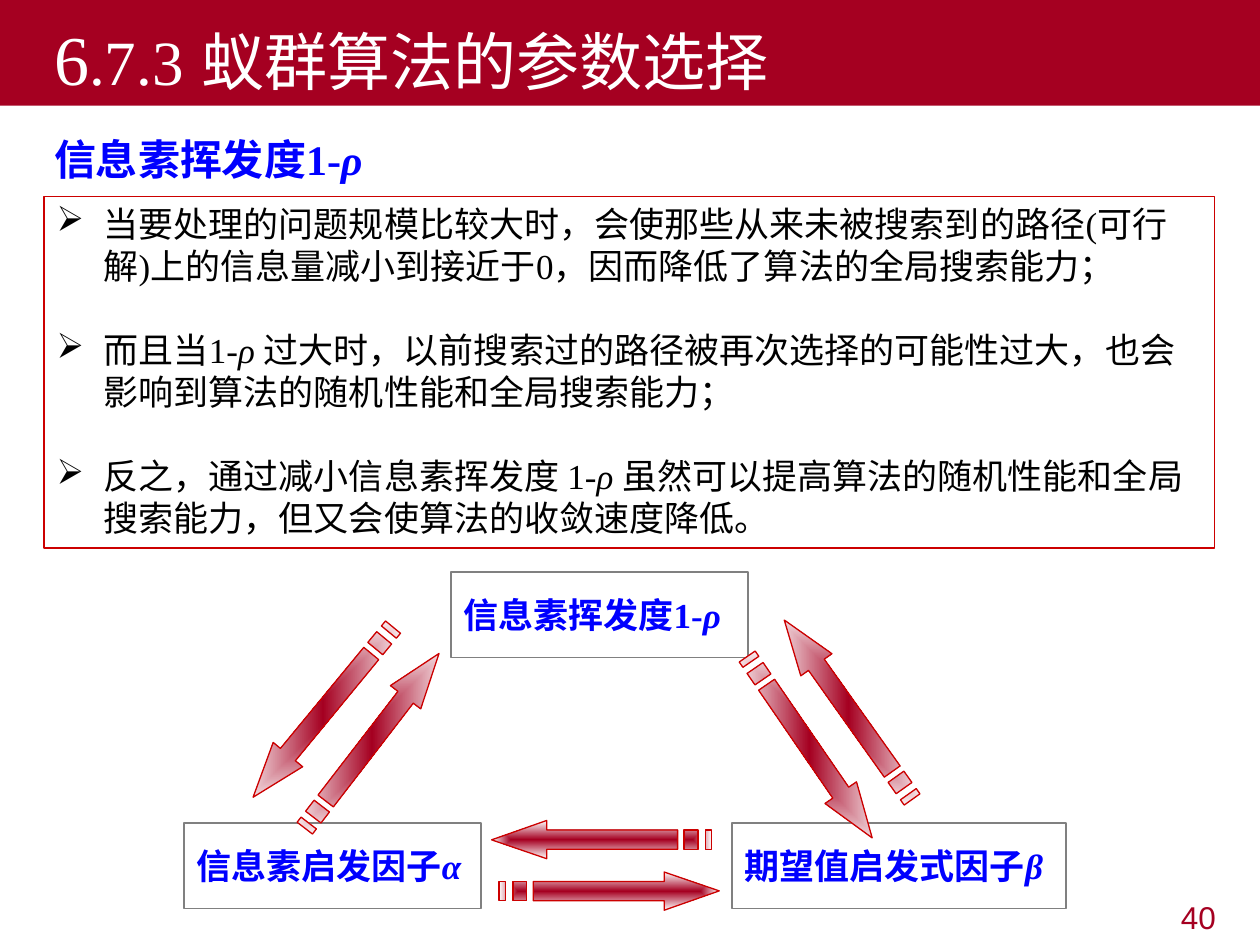
from dataclasses import dataclass
from typing import Any, NamedTuple

from lxml.etree import SubElement
from pptx import Presentation
from pptx.dml.color import RGBColor
from pptx.enum.shapes import MSO_SHAPE as Preset
from pptx.enum.text import MSO_ANCHOR as Anchor, MSO_AUTO_SIZE as AutoSize, PP_ALIGN as Align
from pptx.oxml.ns import qn
from pptx.util import Cm, Pt

CRIMSON = RGBColor(0xA5, 0x00, 0x21)
RED = RGBColor(0xCC, 0x00, 0x00)
BLUE = RGBColor(0x00, 0x00, 0xFF)
GRAY = RGBColor(0x80, 0x80, 0x80)
BLACK = RGBColor(0x00, 0x00, 0x00)
WHITE = RGBColor(0xFF, 0xFF, 0xFF)

SERIF, SANS = "Times New Roman", "Arial"


class Frame(NamedTuple):
    left: float
    top: float
    width: float
    height: float

    def lengths(self) -> list[Cm]:
        return [Cm(value) for value in self]


@dataclass
class Piece:
    text: str
    font: str = SERIF
    italic: bool = False


@dataclass
class Factor:
    label: str
    symbol: str
    frame: Frame


@dataclass
class Arrow:
    left: float
    top: float
    rotation: float


TITLE_FRAME = Frame(0, 0, 25.4, 2.13)
HEADING_FRAME = Frame(0.84, 2.57, 23.7, 1.3)
NOTES_FRAME = Frame(0.89, 3.96, 23.6, 7.09)
NUMBER_FRAME = Frame(19.25, 17.98, 5.51, 0.99)

POINTS = [
    [Piece("当要处理的问题规模比较大时，会使那些从来未被搜索到的路径(可行解)上的信息量"
           "减小到接近于0，因而降低了算法的全局搜索能力；")],
    [Piece("而且当", SANS), Piece("1-"), Piece("ρ ", italic=True),
     Piece("过大时，以前搜索过的路径被再次选择的可能性过大，"
           "也会影响到算法的随机性能和全局搜索能力；", SANS)],
    [Piece("反之，通过减小信息素挥发度 ", SANS), Piece("1-"), Piece("ρ ", italic=True),
     Piece("虽然可以提高算法的随机性能和全局搜索能力，但又会使算法的收敛速度降低。", SANS)],
]
FACTORS = [
    Factor("信息素启发因子", "α", Frame(3.71, 16.59, 5.99, 1.73)),
    Factor("期望值启发式因子", "β", Frame(14.76, 16.59, 6.73, 1.73)),
    Factor("信息素挥发度1-", "ρ", Frame(9.09, 11.53, 5.99, 1.73)),
]
ARROWS = [
    Arrow(10.06, 17.58, 0),
    Arrow(9.91, 16.54, 180),
    Arrow(5.28, 14.55, 307.6),
    Arrow(4.29, 13.97, 129.5),
    Arrow(14.88, 13.92, 234.6),
    Arrow(14.1, 14.68, 55.5),
]

# Arrow outline in hundredths of a centimetre, pointing right
ARROW_LENGTH, ARROW_HEIGHT, HEAD_START = 444, 77, 333
SHAFT_TOP, SHAFT_BOTTOM, SHAFT_START = 19, 58, 69
STRIPES = [(28, 56), (0, 13)]


def add_run(paragraph, text: str, color: RGBColor, **formats: Any) -> None:
    run = paragraph.add_run()
    run.text = text
    for name, value in formats.items():
        setattr(run.font, name, value)
    run.font.color.rgb = color


def add_term(paragraph, label: str, symbol: str, size: int) -> None:
    """Write a bold blue label followed by its italic Greek letter."""
    for text, italic in ((label, False), (symbol, True)):
        add_run(paragraph, text, BLUE, name=SERIF, size=Pt(size), bold=True, italic=italic)


def add_box(slide, frame: Frame, line_color: RGBColor, **formats: Any):
    """Add a white outlined rectangle and return its text frame."""
    shape = slide.shapes.add_shape(Preset.RECTANGLE, *frame.lengths())
    shape.shadow.inherit = False
    shape.fill.solid()
    shape.fill.fore_color.rgb = WHITE
    shape.line.color.rgb = line_color
    shape.line.width = Pt(0.75)
    for name, value in formats.items():
        setattr(shape.text_frame, name, value)
    return shape.text_frame


def add_text_paragraph(slide, frame: Frame, align: Align):
    text_frame = slide.shapes.add_textbox(*frame.lengths()).text_frame
    text_frame.word_wrap = True
    paragraph = text_frame.paragraphs[0]
    paragraph.alignment = align
    return paragraph


def fill_title(slide) -> None:
    title = slide.shapes.title
    title.left, title.top, title.width, title.height = TITLE_FRAME.lengths()
    title.fill.solid()
    title.fill.fore_color.rgb = CRIMSON
    title.text_frame.vertical_anchor = Anchor.BOTTOM
    title.text_frame.auto_size = AutoSize.NONE
    paragraph = title.text_frame.paragraphs[0]
    paragraph.alignment = Align.LEFT
    properties = paragraph._p.get_or_add_pPr()
    properties.set("marL", "0")
    properties.set("indent", str(Cm(0.84)))
    tabs = SubElement(properties, qn("a:tabLst"))
    SubElement(tabs, qn("a:tab"), pos=str(Cm(4.45)), algn="l")
    for text, size in (("6", 40), (".7.3\t蚁群算法的参数选择", 36)):
        add_run(paragraph, text, WHITE, name=SERIF, size=Pt(size))


def add_points(slide) -> None:
    text_frame = add_box(slide, NOTES_FRAME, RED, word_wrap=True, vertical_anchor=Anchor.TOP)
    for index, pieces in enumerate(POINTS):
        paragraph = text_frame.add_paragraph() if index else text_frame.paragraphs[0]
        paragraph.alignment = Align.LEFT
        if index:
            paragraph.space_before = Pt(24)
        properties = paragraph._p.get_or_add_pPr()
        properties.set("marL", str(Cm(0.95)))
        properties.set("indent", str(-Cm(0.95)))
        SubElement(properties, qn("a:buChar"), char="➢")
        for piece in pieces:
            add_run(paragraph, piece.text, BLACK, name=piece.font, size=Pt(20),
                    italic=piece.italic)


def add_factor(slide, factor: Factor) -> None:
    text_frame = add_box(slide, factor.frame, GRAY, word_wrap=False,
                         vertical_anchor=Anchor.MIDDLE)
    paragraph = text_frame.paragraphs[0]
    paragraph.alignment = Align.LEFT
    add_term(paragraph, factor.label, factor.symbol, 20)


def add_striped_arrow(slide, arrow: Arrow) -> None:
    builder = slide.shapes.build_freeform(HEAD_START, 0, scale=Cm(0.01))
    builder.add_line_segments([
        (HEAD_START, SHAFT_TOP), (SHAFT_START, SHAFT_TOP), (SHAFT_START, SHAFT_BOTTOM),
        (HEAD_START, SHAFT_BOTTOM), (HEAD_START, ARROW_HEIGHT),
        (ARROW_LENGTH, ARROW_HEIGHT / 2),
    ])
    for start, end in STRIPES:
        builder.move_to(start, SHAFT_TOP)
        builder.add_line_segments([(start, SHAFT_BOTTOM), (end, SHAFT_BOTTOM), (end, SHAFT_TOP)])
    shape = builder.convert_to_shape(Cm(arrow.left), Cm(arrow.top))
    shape.rotation = arrow.rotation
    shape.shadow.inherit = False
    shape.line.color.rgb = RED
    shape.line.width = Pt(0.75)
    fill_from_center(shape)


def fill_from_center(shape) -> None:
    """Blend from crimson at the centre to white at the edges."""
    shape.fill.gradient()
    for stop, color, position in zip(shape.fill.gradient_stops, (CRIMSON, WHITE), (0, 1)):
        stop.color.rgb = color
        stop.position = position
    gradient = shape._element.spPr.find(qn("a:gradFill"))
    gradient.remove(gradient.find(qn("a:lin")))
    blend = SubElement(gradient, qn("a:path"), path="rect")
    SubElement(blend, qn("a:fillToRect"), l="50000", t="50000", r="50000", b="50000")


def main() -> None:
    presentation = Presentation()
    presentation.slide_width, presentation.slide_height = Cm(25.4), Cm(19.05)
    slide = presentation.slides.add_slide(presentation.slide_layouts[5])
    fill_title(slide)
    add_term(add_text_paragraph(slide, HEADING_FRAME, Align.LEFT), "信息素挥发度1-", "ρ", 24)
    add_points(slide)
    for factor in FACTORS:
        add_factor(slide, factor)
    for arrow in ARROWS:
        add_striped_arrow(slide, arrow)
    number = add_text_paragraph(slide, NUMBER_FRAME, Align.RIGHT)
    add_run(number, "40", CRIMSON, name=SANS, size=Pt(18))
    presentation.save("out.pptx")


if __name__ == "__main__":
    main()
